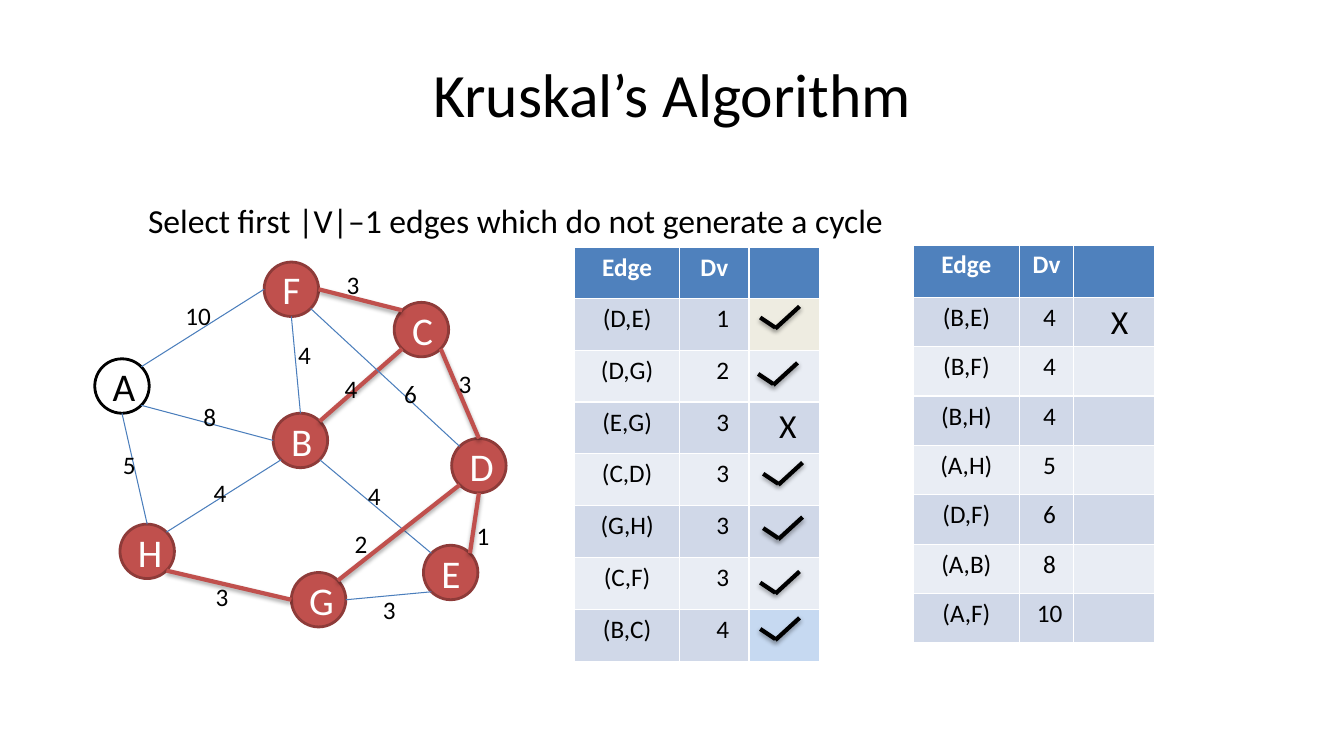
import math
import pptx
import pptx.util
import pptx.dml.color
import pptx.enum.shapes
import pptx.enum.text
import pptx.oxml

SCALE = 9144
FONT = "Calibri"
BLACK, WHITE = "000000", "FFFFFF"
RED, RIM, BLUE = "C0504D", "8E3B39", "4B7EBC"
HEAD, BANDS = "4F81BD", ("D0D8E8", "E9EDF4")
SIDES = "n nw w sw s se e ne".split()
SIZE = 54
MIDDLE = pptx.enum.text.MSO_ANCHOR.MIDDLE
CENTER = pptx.enum.text.PP_ALIGN.CENTER
SHADE = (
    '<a:outerShdw blurRad="40000" dist="23000" dir="5400000" rotWithShape="0">'
    '<a:srgbClr val="000000"><a:alpha val="35000"/></a:srgbClr></a:outerShdw>'
)
EFFECT = (
    '<a:effectLst xmlns:a="http://schemas.openxmlformats.org/drawingml/2006/main">'
    "%s</a:effectLst>"
)

NODES = {
    "F": (168, 0), "A": (0, 96), "H": (25, 260), "G": (195, 308),
    "E": (326, 281), "D": (354, 175), "C": (297, 40), "B": (177, 150),
}
EDGES = [
    ("F", "w", "A", "ne", 10, (80, 33), False),
    ("A", "s", "H", "n", 5, (18, 181), False),
    ("H", "se", "G", "w", 3, (110, 312), True),
    ("G", "e", "E", "sw", 3, (276, 325), False),
    ("E", "ne", "D", "s", 1, (369, 251), True),
    ("D", "n", "C", "se", 3, (351, 100), True),
    ("C", "nw", "F", "e", 3, (240, 2), True),
    ("B", "ne", "C", "sw", 4, (238, 105), True),
    ("B", "n", "F", "s", 4, (192, 72), False),
    ("B", "w", "A", "se", 8, (98, 133), False),
    ("B", "sw", "H", "ne", 4, (108, 209), False),
    ("B", "se", "E", "nw", 4, (261, 212), False),
    ("D", "nw", "F", "se", 6, (297, 110), False),
    ("D", "sw", "G", "ne", 2, (248, 259), True),
]
FIRST = [
    ("(D,E)", "1", ""), ("(D,G)", "2", ""), ("(E,G)", "3", "X"),
    ("(C,D)", "3", ""), ("(G,H)", "3", ""), ("(C,F)", "3", ""), ("(B,C)", "4", ""),
]
SECOND = [
    ("(B,E)", "4", "X"), ("(B,F)", "4", ""), ("(B,H)", "4", ""),
    ("(A,H)", "5", ""), ("(D,F)", "6", ""), ("(A,B)", "8", ""), ("(A,F)", "10", ""),
]
TICKS = [(184, 59), (182, 115), (187, 214), (187, 268), (184, 322), (184, 368)]


def px(num):
    """Turn px into EMU."""
    return pptx.util.Emu(round(num * SCALE))


def color(code):
    """Turn a hex string into a colour."""
    return pptx.dml.color.RGBColor.from_string(code)


def write(frame, text, size, code=BLACK, align=None, bold=False):
    """Put one styled paragraph in a text frame."""
    para = frame.paragraphs[0]
    para.text = text
    para.alignment = align
    para.font.name = FONT
    para.font.size = pptx.util.Pt(size)
    para.font.bold = bold
    para.font.color.rgb = color(code)


def label(shapes, box, text, size, align=None, anchor=None):
    """Add a wrapped text box."""
    frame = shapes.add_textbox(*map(px, box)).text_frame
    frame.word_wrap = True
    frame.vertical_anchor = anchor
    write(frame, text, size, align=align)


def stroke(shapes, start, end, code, width, shade=False):
    """Add a straight line, with a soft shadow if asked."""
    kind = pptx.enum.shapes.MSO_CONNECTOR.STRAIGHT
    line = shapes.add_connector(kind, *map(px, (*start, *end)))
    line.line.color.rgb = color(code)
    line.line.width = pptx.util.Pt(width)
    xml = EFFECT % (SHADE if shade else "")
    line._element.spPr.append(pptx.oxml.parse_xml(xml))


def node(shapes, left, top, name):
    """Add one round node of the graph."""
    kind = pptx.enum.shapes.MSO_SHAPE.OVAL
    disc = shapes.add_shape(kind, *map(px, (left, top, SIZE, SIZE)))
    fill, rim, ink = (WHITE, BLACK, BLACK) if name == "A" else (RED, RIM, WHITE)
    disc.shadow.inherit = False
    disc.fill.solid()
    disc.fill.fore_color.rgb = color(fill)
    disc.line.color.rgb = color(rim)
    disc.line.width = pptx.util.Pt(2)
    disc.text_frame.vertical_anchor = MIDDLE
    write(disc.text_frame, name, 28, ink, CENTER)


def port(left, top, name, side):
    """Find the point on a node's rim that faces a side."""
    turn = math.radians(45 * SIDES.index(side))
    half = SIZE / 2
    x, y = NODES[name]
    return (left + x + half - half * math.sin(turn),
            top + y + half - half * math.cos(turn))


def graph(slide, left, top):
    """Draw the weighted graph with its tree edges in red."""
    shapes = slide.shapes.add_group_shape().shapes
    for name, (x, y) in NODES.items():
        node(shapes, left + x, top + y, name)
    for tail, out, tip, into, cost, spot, tree in EDGES:
        code, width = (RED, 3) if tree else (BLUE, 0.75)
        stroke(shapes, port(left, top, tail, out), port(left, top, tip, into),
               code, width, tree)
    for *ends, cost, (x, y), tree in EDGES:
        wide = 53 if cost > 9 else 26
        label(shapes, (left + x, top + y, wide, 32), str(cost), 18)


def table(slide, left, top, cols, head, body, rows, shifts, tints):
    """Add a table of edges; shifts move each column's centred text."""
    box = map(px, (left, top, sum(cols), head + body))
    grid = slide.shapes.add_table(len(rows) + 1, len(cols), *box).table
    for col, width in zip(grid.columns, cols):
        col.width = px(width)
    for r, texts in enumerate([("Edge", "Dv", "")] + rows):
        grid.rows[r].height = px(body / len(rows) if r else head)
        for c, text in enumerate(texts):
            cell = grid.cell(r, c)
            fill = BANDS[(r - 1) % 2] if r else HEAD
            if c == 2:
                fill = tints.get(r, fill)
            cell.fill.solid()
            cell.fill.fore_color.rgb = color(fill)
            cell.margin_left = px(10 + (shifts[c] if r else 0))
            cell.margin_bottom = px(3)
            write(cell.text_frame, text, 24 if text == "X" else 18,
                  BLACK if r else WHITE, CENTER, r == 0)


def tick(slide, left, top):
    """Draw a check mark from two strokes."""
    shapes = slide.shapes.add_group_shape().shapes
    stroke(shapes, (left, top + 11), (left + 15, top + 21), BLACK, 3, True)
    stroke(shapes, (left + 15, top + 22), (left + 39, top), BLACK, 3, True)


def chosen(slide, left, top):
    """Add the first table and its check marks."""
    table(slide, left, top, (104, 69, 70), 51, 360, FIRST, (0, 17, 7),
          {1: "EEECE1", 7: "C6D9F1"})
    for x, y in TICKS:
        tick(slide, left + x, top + y)


def main():
    """Build the slide and save it."""
    deck = pptx.Presentation()
    deck.slide_width, deck.slide_height = px(1333), px(750)
    slide = deck.slides.add_slide(deck.slide_layouts[6])
    label(slide.shapes, (67, 30, 1200, 125), "Kruskal’s Algorithm", 44, CENTER, MIDDLE)
    label(slide.shapes, (137, 193, 1150, 555),
          "Select first |V|–1 edges which do not generate a cycle", 24)
    graph(slide, 94, 260)
    chosen(slide, 570, 245)
    table(slide, 906, 243, (105, 54, 80), 52, 343, SECOND, (0, 6, 11), {})
    deck.save("out.pptx")


if __name__ == "__main__":
    main()
